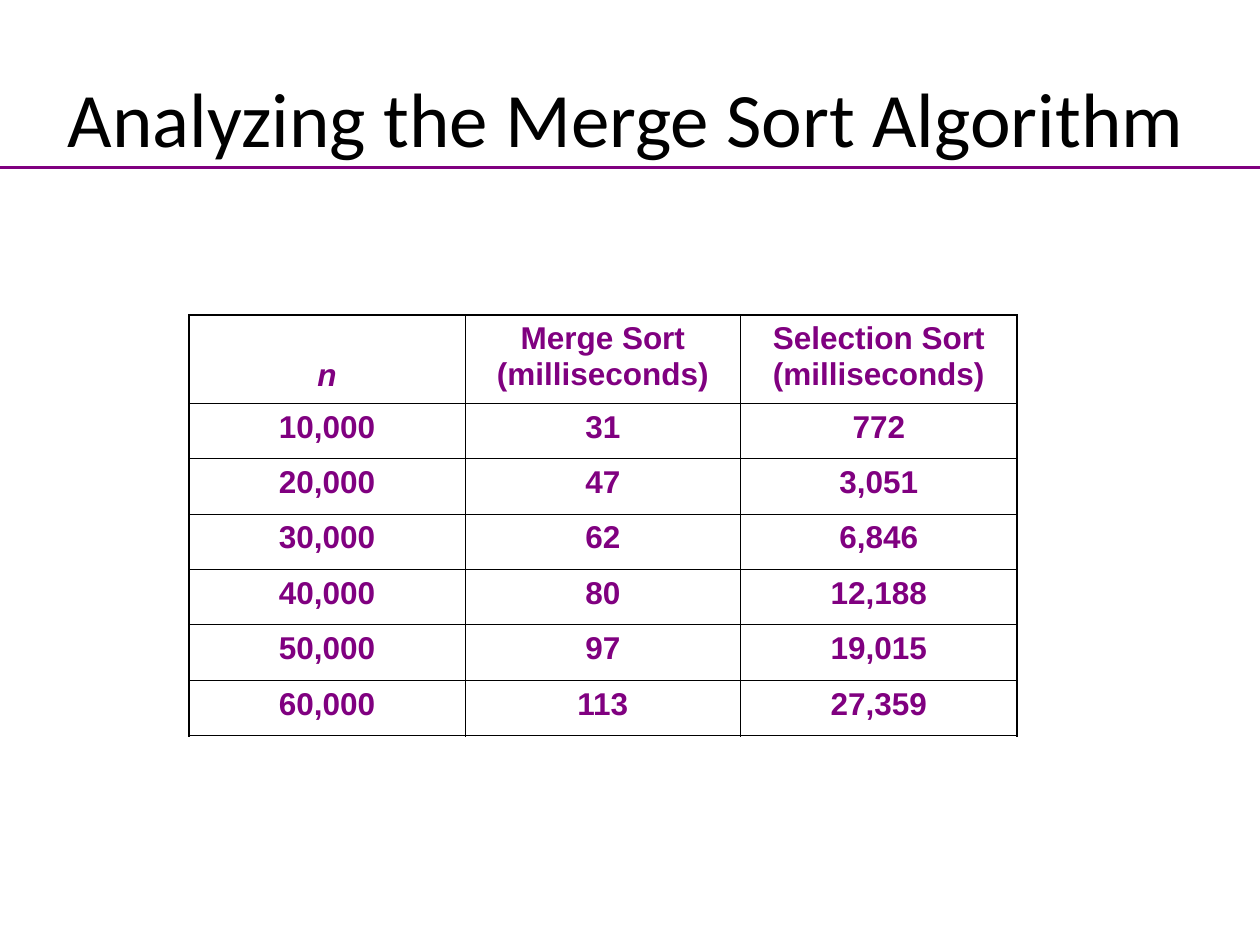
from dataclasses import dataclass

from lxml.etree import SubElement
from pptx import Presentation
from pptx.dml.color import RGBColor
from pptx.enum.shapes import MSO_CONNECTOR
from pptx.enum.text import MSO_ANCHOR, MSO_AUTO_SIZE, PP_ALIGN
from pptx.oxml import parse_xml
from pptx.oxml.ns import nsdecls, qn
from pptx.util import Inches, Pt


@dataclass(frozen=True)
class Theme:
    ink: str = "000000"
    accent: str = "800080"
    head: str = "Calibri"
    body: str = "Arial"
    large: float = 44
    small: float = 18
    thin: float = 0.45
    thick: float = 1.08
    rule: float = 1.5


class Page:
    """Holds the theme and the current slide, and adds its elements."""

    def __init__(self, deck, theme):
        self.theme = theme
        self.slide = deck.slides.add_slide(deck.slide_layouts[5])

    def style(self, para, face, size, color, bold=False, slant=False):
        para.alignment = PP_ALIGN.CENTER
        font = para.font
        font.name, font.size = face, Pt(size)
        font.bold, font.italic = bold, slant
        font.color.rgb = RGBColor.from_string(color)

    def title(self, text, left, top, width, height):
        shape = self.slide.shapes.title
        shape.left, shape.top = Inches(left), Inches(top)
        shape.width, shape.height = Inches(width), Inches(height)
        frame = shape.text_frame
        frame.text = text
        frame.word_wrap = True
        frame.auto_size = MSO_AUTO_SIZE.NONE
        frame.vertical_anchor = MSO_ANCHOR.MIDDLE
        look = self.theme
        self.style(frame.paragraphs[0], look.head, look.large, look.ink)

    def edges(self, cell, outer):
        props = cell._tc.get_or_add_tcPr()
        for spot, side in enumerate("LTRB"):
            tag = "ln" + side
            width = self.theme.thick if side in outer else self.theme.thin
            line = parse_xml(
                f'<a:{tag} {nsdecls("a")} w="{Pt(width)}"><a:solidFill>'
                f'<a:srgbClr val="{self.theme.ink}"/></a:solidFill></a:{tag}>')
            order = "LRTB".index(side)
            props.insert(min(order, spot), line)

    def table(self, rows, left, top, widths, heights):
        grid = self.slide.shapes.add_table(
            len(rows), len(widths), Inches(left), Inches(top),
            Inches(sum(widths)), Inches(sum(heights))).table
        grid.first_row = grid.horz_banding = False
        for col, width in zip(grid.columns, widths):
            col.width = Inches(width)
        for row, height in zip(grid.rows, heights):
            row.height = Inches(height)
        look = self.theme
        for r, row in enumerate(rows):
            for c, text in enumerate(row):
                cell = grid.cell(r, c)
                cell.text = text
                cell.fill.background()
                outer = {"L": c == 0, "T": r == 0,
                         "R": c == len(row) - 1, "B": r == len(rows) - 1}
                self.edges(cell, [side for side in outer if outer[side]])
                self.style(cell.text_frame.paragraphs[0], look.body,
                           look.small, look.accent, True, r == c == 0)
        corner = grid.cell(0, 0)
        corner.vertical_anchor = MSO_ANCHOR.BOTTOM
        corner.margin_bottom = Inches(0.08)

    def rule(self, left, right, top):
        line = self.slide.shapes.add_connector(
            MSO_CONNECTOR.STRAIGHT, Inches(left), Inches(top),
            Inches(right), Inches(top))
        line.line.color.rgb = RGBColor.from_string(self.theme.accent)
        line.line.width = Pt(self.theme.rule)
        SubElement(line._element.spPr, qn("a:effectLst"))


def main():
    deck = Presentation()
    deck.slide_width, deck.slide_height = Inches(10), Inches(7.5)
    page = Page(deck, Theme())
    page.title("Analyzing the Merge Sort Algorithm ", 0.08, 0.3, 9.92, 1.25)
    rows = [
        ("n", "Merge Sort (milliseconds)", "Selection Sort (milliseconds)"),
        ("10,000", "31", "772"),
        ("20,000", "47", "3,051"),
        ("30,000", "62", "6,846"),
        ("40,000", "80", "12,188"),
        ("50,000", "97", "19,015"),
        ("60,000", "113", "27,359"),
    ]
    page.table(rows, 1.5, 2.5, [2.19] * 3, [0.7] + [0.44] * 6)
    page.rule(0, 10, 1.33)
    deck.save("out.pptx")


if __name__ == "__main__":
    main()
